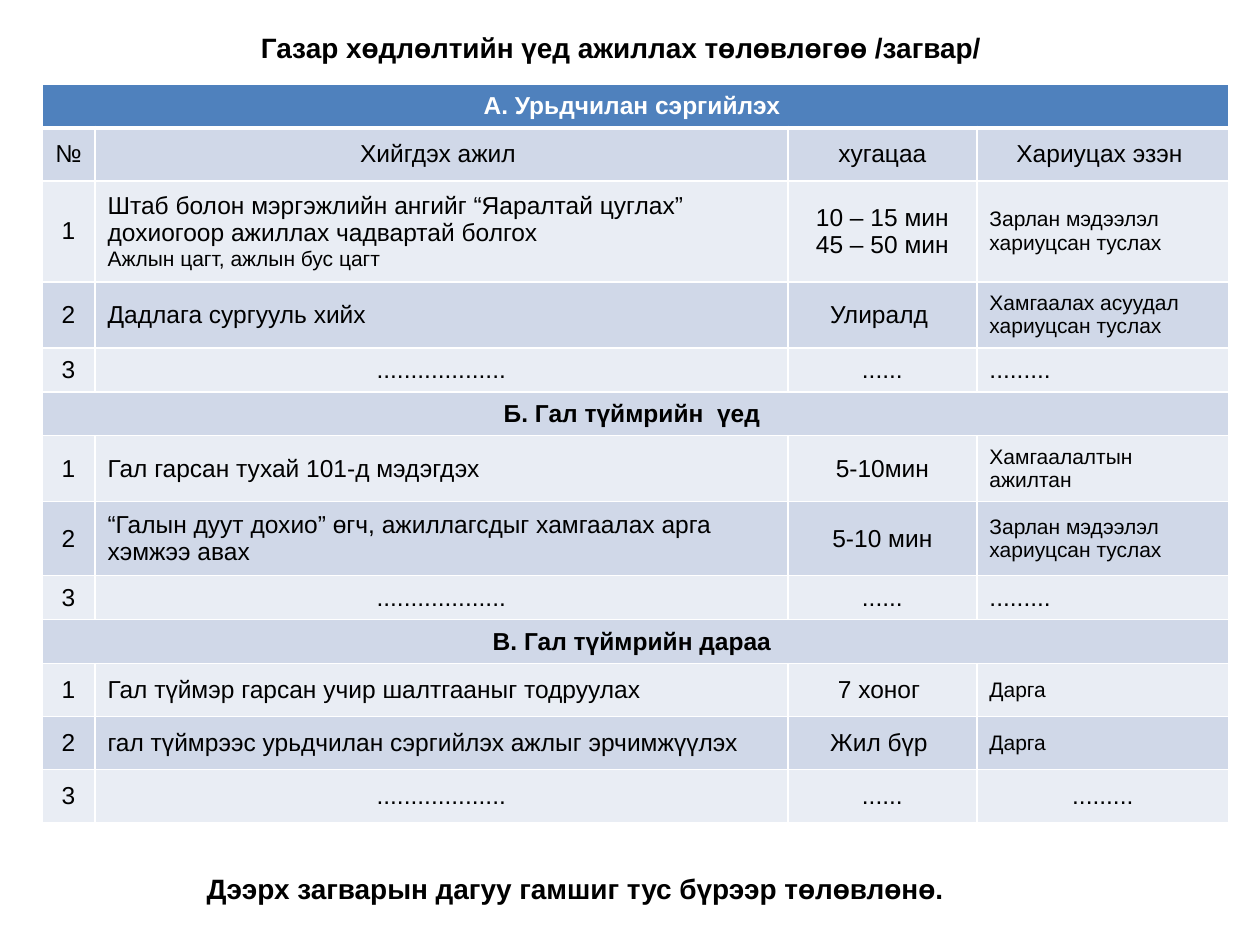
from lxml import etree
from pptx import Presentation
from pptx.dml.color import RGBColor
from pptx.enum.text import MSO_ANCHOR, PP_ALIGN
from pptx.oxml.ns import qn
from pptx.util import Emu, Pt

PIXEL = 914400 // 126
FONT = "Arial"
MIDDLE = MSO_ANCHOR.MIDDLE
LEFT, CENTER = PP_ALIGN.LEFT, PP_ALIGN.CENTER

BLACK = RGBColor(0x00, 0x00, 0x00)
WHITE = RGBColor(0xFF, 0xFF, 0xFF)
HEADER_BLUE = RGBColor(0x4F, 0x81, 0xBD)
BANDS = (RGBColor(0xE9, 0xED, 0xF4), RGBColor(0xD0, 0xD8, 0xE8))

COLUMN_WIDTHS = (53, 693, 189, 252)
ROW_HEIGHTS = (44, 53, 101, 66, 44, 44, 66, 74, 44, 44, 53, 53, 53)
WORK_COLUMN, OWNER_COLUMN = 1, 3

DOTS = ("." * 19, "." * 6, "." * 9)
INFORMATION_AIDE = "Зарлан мэдээлэл хариуцсан туслах"

# One text is a section heading, four texts are a row of the plan
ROWS = (
    ("А. Урьдчилан сэргийлэх ",),
    ("№", "Хийгдэх ажил ", "хугацаа", "Хариуцах эзэн "),
    ("1", "Штаб болон мэргэжлийн ангийг “Яаралтай цуглах” дохиогоор ажиллах "
     "чадвартай болгох\nАжлын цагт, ажлын бус цагт",
     "10 – 15 мин\n45 – 50 мин", INFORMATION_AIDE),
    ("2", "Дадлага сургууль хийх ", "Улиралд ",
     "Хамгаалах асуудал хариуцсан туслах"),
    ("3", *DOTS),
    ("Б. Гал түймрийн  үед ",),
    ("1", "Гал гарсан тухай 101-д мэдэгдэх  ", "5-10мин",
     "Хамгаалалтын ажилтан "),
    ("2", "“Галын дуут дохио” өгч, ажиллагсдыг хамгаалах арга хэмжээ авах",
     "5-10 мин", INFORMATION_AIDE),
    ("3", *DOTS),
    ("В. Гал түймрийн дараа ",),
    ("1", "Гал түймэр гарсан учир шалтгааныг тодруулах", "7 хоног ", "Дарга "),
    ("2", "гал түймрээс урьдчилан сэргийлэх ажлыг эрчимжүүлэх", "Жил бүр ",
     "Дарга "),
    ("3", *DOTS),
)


def pixels(count):
    return Emu(count * PIXEL)


def style_paragraph(paragraph, text, size, color=BLACK, bold=False,
                    alignment=CENTER):
    paragraph.text = text
    paragraph.alignment = alignment
    font = paragraph.font
    font.name, font.size, font.bold = FONT, Pt(size), bold
    font.color.rgb = color


def add_caption(slide, text, left, top, width, height):
    box = slide.shapes.add_textbox(*map(pixels, (left, top, width, height)))
    frame = box.text_frame
    frame.word_wrap = True
    frame.vertical_anchor = MIDDLE
    style_paragraph(frame.paragraphs[0], text, 16, bold=True)


def set_borders(cell, top, bottom):
    properties = cell._tc.get_or_add_tcPr()
    for side, width in (("L", 1), ("R", 1), ("T", top), ("B", bottom)):
        line = etree.SubElement(properties, qn(f"a:ln{side}"), w=str(Pt(width)))
        fill = etree.SubElement(line, qn("a:solidFill"))
        etree.SubElement(fill, qn("a:srgbClr"), val=str(WHITE))


def format_cell(cell, row):
    set_borders(cell, 3 if row == 1 else 1, 3 if row == 0 else 1)
    cell.fill.solid()
    cell.fill.fore_color.rgb = HEADER_BLUE if row == 0 else BANDS[row % 2]
    cell.vertical_anchor = MIDDLE


def fill_plan_cell(cell, text, row, column):
    is_header = row == 1
    is_dots = text in DOTS
    is_last = row == len(ROWS) - 1
    alignment = CENTER
    if column == OWNER_COLUMN and not is_header and not is_last:
        alignment = LEFT
    elif column == WORK_COLUMN and not is_header and not is_dots:
        alignment = LEFT

    frame = cell.text_frame
    for index, line in enumerate(text.split("\n")):
        paragraph = frame.add_paragraph() if index else frame.paragraphs[0]
        is_owner = column == OWNER_COLUMN and not is_header and not is_dots
        is_note = column == WORK_COLUMN and index > 0
        size = 12 if is_owner or is_note else 14
        style_paragraph(paragraph, line, size, alignment=alignment)


def add_plan_table(slide, left, top):
    frame = slide.shapes.add_table(
        len(ROWS), len(COLUMN_WIDTHS), pixels(left), pixels(top),
        pixels(sum(COLUMN_WIDTHS)), pixels(sum(ROW_HEIGHTS)))
    table = frame.table
    table.horz_banding = False
    for column, width in zip(table.columns, COLUMN_WIDTHS):
        column.width = pixels(width)

    for row, (texts, height) in enumerate(zip(ROWS, ROW_HEIGHTS)):
        table.rows[row].height = pixels(height)
        cells = table.rows[row].cells
        for cell in cells:
            format_cell(cell, row)
        if len(texts) == 1:
            first = table.cell(row, 0)
            first.merge(table.cell(row, len(COLUMN_WIDTHS) - 1))
            style_paragraph(first.text_frame.paragraphs[0], texts[0], 14,
                            WHITE if row == 0 else BLACK, bold=True)
        else:
            for column, text in enumerate(texts):
                fill_plan_cell(table.cell(row, column), text, row, column)


def main():
    presentation = Presentation()
    presentation.slide_width = pixels(1260)
    presentation.slide_height = pixels(945)
    slide = presentation.slides.add_slide(presentation.slide_layouts[6])

    # Title, plan and closing remark
    add_caption(slide, "Газар хөдлөлтийн үед ажиллах төлөвлөгөө /загвар/ ",
                231, 21, 788, 53)
    add_plan_table(slide, 42, 84)
    add_caption(slide, "Дээрх загварын дагуу гамшиг тус бүрээр төлөвлөнө.  ",
                189, 862, 788, 53)

    presentation.save("out.pptx")


main()
